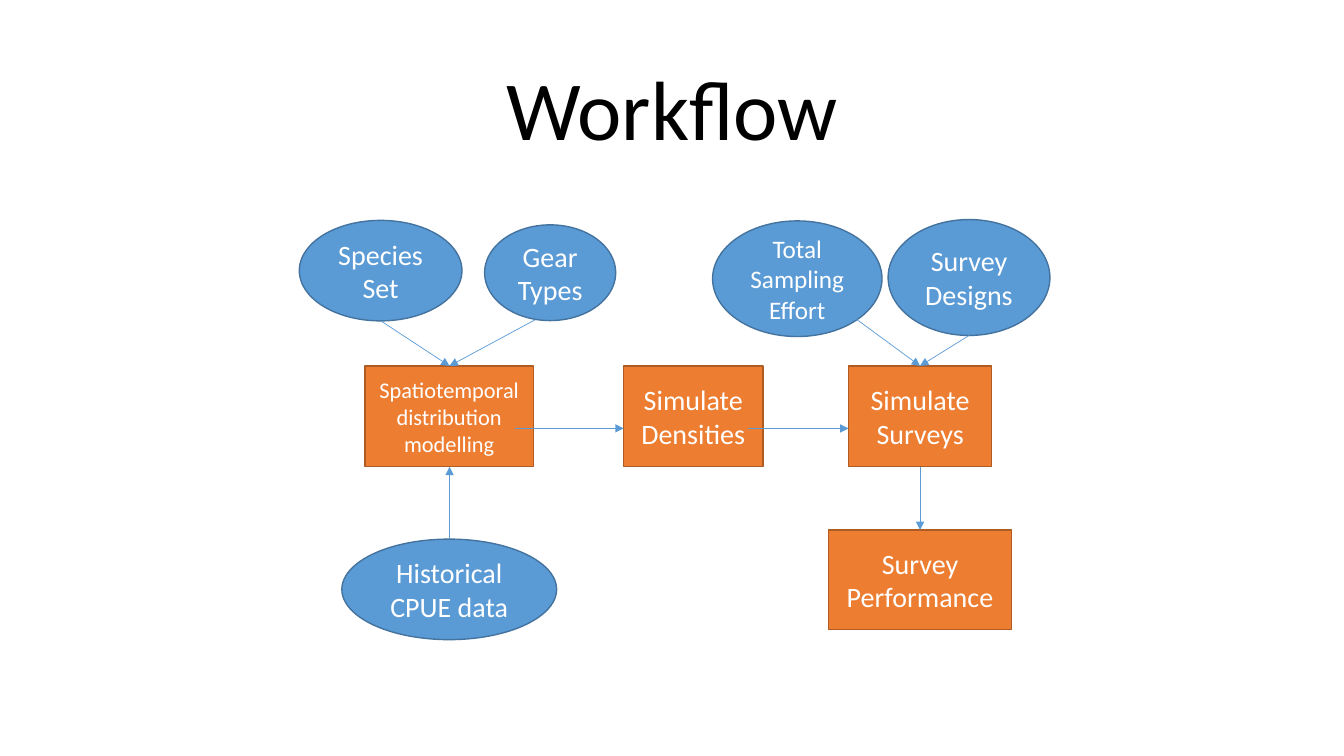
from lxml import etree
from pptx import Presentation
from pptx.dml.color import RGBColor
from pptx.enum import shapes, text
from pptx.oxml.ns import qn
from pptx.util import Pt

FONT = "Calibri"
INPUT_STYLE = {"kind": shapes.MSO_SHAPE.OVAL, "fill": "5B9BD5", "line": "43739E"}
STEP_STYLE = {"kind": shapes.MSO_SHAPE.RECTANGLE, "fill": "ED7D31", "line": "AF5C24"}
ARROW_COLOUR = "5B9BD5"

STEP_TOP, STEP_BOTTOM = 261.4, 333.4
FLOW_Y = 306
MODEL_X, SURVEY_X = 321.1, 657.2

# label, (left, top, width, height), font size
STEPS = [
    ("Spatiotemporal distribution modelling", (260.6, STEP_TOP, 120.5, 72), 16),
    ("Simulate Densities", (445.5, STEP_TOP, 99.4, 72), 20),
    ("Simulate Surveys", (606.1, STEP_TOP, 102.3, 72), 20),
    ("Survey Performance", (592, 378.6, 130.4, 71), 20),
]
INPUTS = [
    ("Species Set", (213.8, 157.4, 116.2, 71.8), 20),
    ("Gear Types", (346.2, 160.6, 93.6, 68.4), 20),
    ("Total Sampling Effort", (509, 157.8, 121, 82.6), 18),
    ("Survey Designs", (634.4, 156.8, 115.6, 82.8), 20),
    ("Historical CPUE data", (244.2, 385.1, 153.4, 71.8), 20),
]
ARROWS = [
    ((382.3, 228.4), (MODEL_X, STEP_TOP)),
    ((272, 229.2), (MODEL_X, STEP_TOP)),
    ((MODEL_X, 385.1), (MODEL_X, STEP_BOTTOM)),
    ((368, FLOW_Y), (445.5, FLOW_Y)),
    ((534, FLOW_Y), (606.1, FLOW_Y)),
    ((612, 228.2), (SURVEY_X, STEP_TOP)),
    ((692.3, 239.6), (SURVEY_X, STEP_TOP)),
    ((SURVEY_X, STEP_BOTTOM), (SURVEY_X, 378.6)),
]


def colour(value):
    return RGBColor.from_string(value)


def points(values):
    return [Pt(value) for value in values]


def write_text(shape, content, size, font_colour):
    """Put one centred paragraph in the shape, in the middle of its height."""
    frame = shape.text_frame
    frame.text = content
    frame.word_wrap = True
    frame.vertical_anchor = text.MSO_ANCHOR.MIDDLE
    paragraph = frame.paragraphs[0]
    paragraph.alignment = text.PP_ALIGN.CENTER
    font = paragraph.runs[0].font
    for name, value in {"name": FONT, "size": Pt(size)}.items():
        setattr(font, name, value)
    font.color.rgb = colour(font_colour)
    return paragraph


def set_title(slide, content):
    title = slide.shapes.title
    box = {"left": 66, "top": 28.8, "width": 828, "height": 104.4}
    for name, value in box.items():
        setattr(title, name, Pt(value))
    write_text(title, content, 60, "000000").line_spacing = 0.9


def add_node(slide, label, box, size, style):
    shape = slide.shapes.add_shape(style["kind"], *points(box))
    shape.shadow.inherit = False
    shape.fill.solid()
    shape.fill.fore_color.rgb = colour(style["fill"])
    shape.line.color.rgb = colour(style["line"])
    shape.line.width = Pt(1)
    write_text(shape, label, size, "FFFFFF")


def add_arrow(slide, start, end):
    arrow = slide.shapes.add_connector(
        shapes.MSO_CONNECTOR.STRAIGHT, *points(start + end))
    arrow.line.color.rgb = colour(ARROW_COLOUR)
    arrow.line.width = Pt(0.5)
    properties = arrow._element.spPr
    etree.SubElement(properties.find(qn("a:ln")), qn("a:tailEnd"), type="triangle")
    etree.SubElement(properties, qn("a:effectLst"))


def main():
    presentation = Presentation()
    presentation.slide_width, presentation.slide_height = Pt(960), Pt(540)
    slide = presentation.slides.add_slide(presentation.slide_layouts[5])
    set_title(slide, "Workflow")
    for nodes, style in ((STEPS, STEP_STYLE), (INPUTS, INPUT_STYLE)):
        for label, box, size in nodes:
            add_node(slide, label, box, size, style)
    for start, end in ARROWS:
        add_arrow(slide, start, end)
    presentation.save("out.pptx")


if __name__ == "__main__":
    main()
